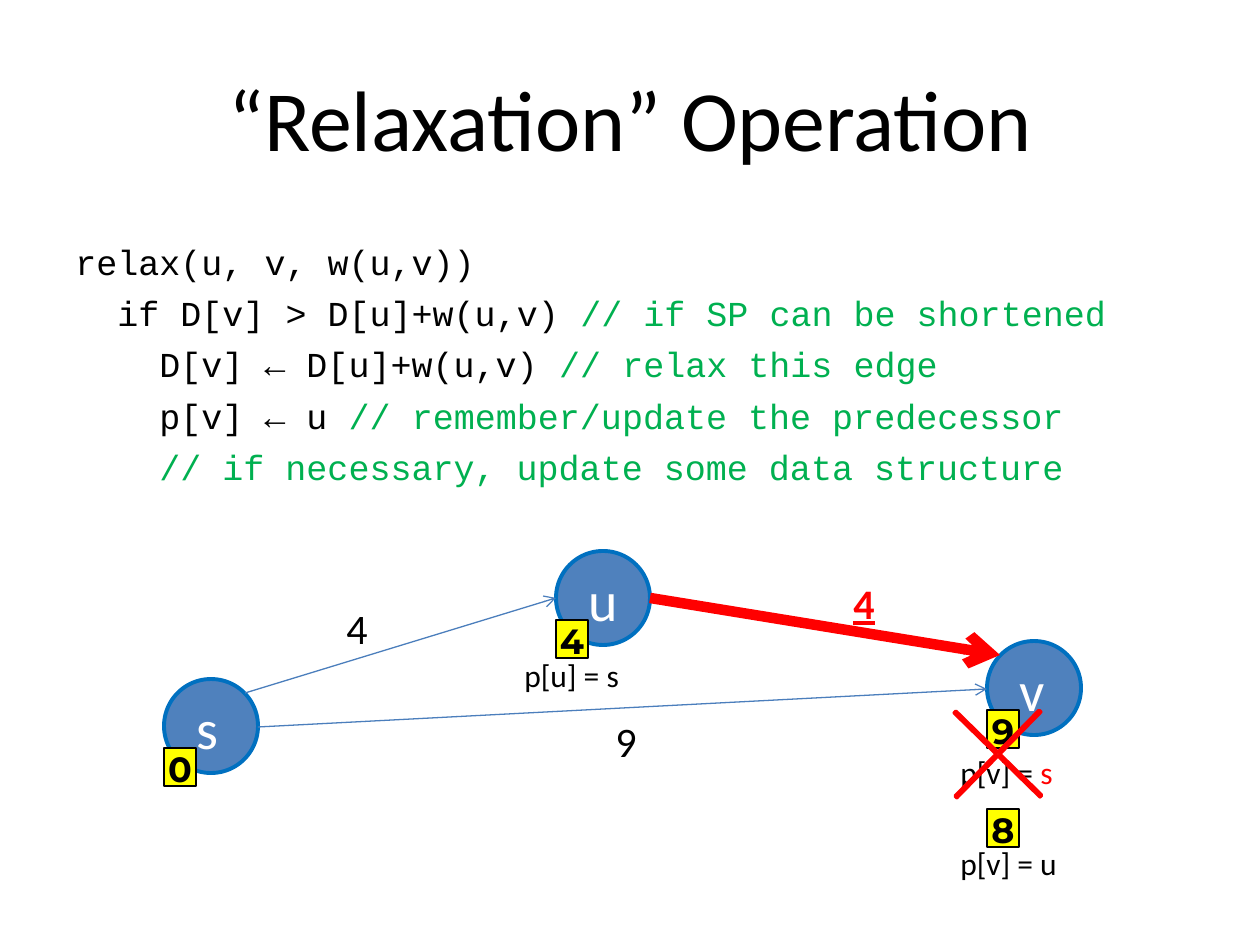
"""Build the slide on the relaxation operation for shortest paths."""
import lxml.etree
import pptx
import pptx.dml.color
import pptx.enum.shapes
import pptx.enum.text
import pptx.oxml.ns
import pptx.util

RGBColor = pptx.dml.color.RGBColor
BLACK = RGBColor(0x00, 0x00, 0x00)
WHITE = RGBColor(0xFF, 0xFF, 0xFF)
RED = RGBColor(0xFF, 0x00, 0x00)
GREEN = RGBColor(0x00, 0xB0, 0x50)
YELLOW = RGBColor(0xFF, 0xFF, 0x00)
NODE_FILL = RGBColor(0x4F, 0x81, 0xBD)
NODE_LINE = RGBColor(0x00, 0x70, 0xC0)
EDGE = RGBColor(0x4B, 0x7E, 0xBC)
CROSS_FILL = RGBColor(0xC0, 0x50, 0x4D)

SHAPES = pptx.enum.shapes.MSO_SHAPE
ALIGN = pptx.enum.text.PP_ALIGN
ANCHOR = pptx.enum.text.MSO_ANCHOR
FIT = pptx.enum.text.MSO_AUTO_SIZE

CODE = [
    (0, "relax(u, v, w(u,v))", ""),
    (1, "if D[v] > D[u]+w(u,v) ", "// if SP can be shortened"),
    (2, "D[v] ← D[u]+w(u,v) ", "// relax this edge"),
    (2, "p[v] ← u ", "// remember/update the predecessor"),
    (2, "", "// if necessary, update some data structure"),
]
NODES = [("s", "0", 164, 679), ("u", "4", 556, 551), ("v", "9", 987, 641)]
WEIGHTS = [
    ("9", 581, 709, {}),
    ("4", 312, 596, {}),
    ("4", 819, 571, {"color": RED, "bold": True, "underline": True}),
]
PREDECESSORS = [
    ("p[v] = ", "s", 948, 747),
    ("p[u] = s", "", 512, 650),
    ("p[v] = u", "", 948, 838),
]
EDGES = [
    ((245, 693), (556, 598), EDGE, 0.75),
    ((650, 598), (1000, 655), RED, 6),
    ((258, 727), (987, 689), EDGE, 0.75),
]


def px(length):
    """Turn pixels into EMU."""
    return pptx.util.Emu(round(length * 914400 / 126))


def add_text(para, text, size=18, color=BLACK, font="Calibri", bold=False, underline=False):
    """Append one formatted span to a paragraph."""
    span = para.add_run()
    span.text = text
    span.font.name = font
    span.font.size = pptx.util.Pt(size)
    span.font.color.rgb = color
    span.font.bold = bold
    span.font.underline = underline


class Diagram:
    """Hold the current page and draw each kind of element on it."""

    def __init__(self, page):
        self.page = page
        self.shapes = page.shapes

    def title(self, text, left, top, width, height):
        """Place and format the title placeholder."""
        box = self.shapes.title
        box.left, box.top, box.width, box.height = map(px, (left, top, width, height))
        frame = box.text_frame
        frame.auto_size = FIT.NONE
        frame.vertical_anchor = ANCHOR.MIDDLE
        frame.paragraphs[0].alignment = ALIGN.CENTER
        add_text(frame.paragraphs[0], text, size=49)

    def text_box(self, left, top, width, height, align=ALIGN.LEFT, fit=FIT.SHAPE_TO_FIT_TEXT):
        """Add an empty wrapping text box and return its frame."""
        frame = self.shapes.add_textbox(*map(px, (left, top, width, height))).text_frame
        frame.word_wrap = True
        frame.auto_size = fit
        frame.paragraphs[0].alignment = align
        return frame

    def code(self, lines, left, top, width, height):
        """Add indented code lines with coloured remarks."""
        frame = self.text_box(left, top, width, height, fit=FIT.NONE)
        for index, (level, statement, remark) in enumerate(lines):
            para = frame.add_paragraph() if index else frame.paragraphs[0]
            para.space_before = pptx.util.Pt(5.3)
            para._p.get_or_add_pPr().set("marL", str(pptx.util.Pt(24 * level)))
            for text, color in ((statement, BLACK), (remark, GREEN)):
                if text:
                    add_text(para, text, size=20, color=color, font="Courier New")

    def shape(self, kind, left, top, width, height, fill, line, weight):
        """Add a filled and outlined preset shape."""
        shape = self.shapes.add_shape(kind, *map(px, (left, top, width, height)))
        shape.shadow.inherit = False
        shape.fill.solid()
        shape.fill.fore_color.rgb = fill
        shape.line.color.rgb = line
        shape.line.width = pptx.util.Pt(weight)
        return shape

    def badge(self, text, left, top):
        """Add a yellow distance badge."""
        frame = self.shape(SHAPES.RECTANGLE, left, top, 32, 38, YELLOW, BLACK, 0.75).text_frame
        frame.margin_left = frame.margin_right = frame.margin_top = frame.margin_bottom = 0
        frame.vertical_anchor = ANCHOR.TOP
        frame.paragraphs[0].alignment = ALIGN.CENTER
        add_text(frame.paragraphs[0], text, size=20, font="Montserrat", bold=True)

    def node(self, name, distance, left, top):
        """Add a graph node with its name and distance."""
        self.shape(SHAPES.OVAL, left, top, 94, 94, NODE_FILL, NODE_LINE, 2.25)
        frame = self.text_box(left + 20, top + 8, 49, 81)
        add_text(frame.paragraphs[0], name, size=32, color=WHITE)
        self.badge(distance, left, top + 69)

    def weight(self, text, left, top, style):
        """Add an edge weight."""
        frame = self.text_box(left, top, 90, 63, align=ALIGN.CENTER)
        add_text(frame.paragraphs[0], text, size=24, **style)

    def predecessor(self, text, outdated, left, top):
        """Add a predecessor label with its outdated part in red."""
        para = self.text_box(left, top, 139, 50).paragraphs[0]
        add_text(para, text)
        if outdated:
            add_text(para, outdated, color=RED)

    def cross(self, left, top, size):
        """Add a thin cross that strikes out old values."""
        cross = self.shape(SHAPES.CROSS, left, top, size, size, CROSS_FILL, RED, 2)
        cross.adjustments[0] = 0.49
        cross.rotation = 314.4

    def edge(self, start, end, color, weight):
        """Add an arrow between two points."""
        edge = self.shapes.add_connector(
            pptx.enum.shapes.MSO_CONNECTOR.STRAIGHT, *map(px, (*start, *end)))
        edge.line.color.rgb = color
        edge.line.width = pptx.util.Pt(weight)
        qn = pptx.oxml.ns.qn
        lxml.etree.SubElement(edge.line._get_or_add_ln(), qn("a:tailEnd"), type="arrow")
        lxml.etree.SubElement(edge._element.spPr, qn("a:effectLst"))


def main():
    """Build and save the deck."""
    deck = pptx.Presentation()
    deck.slide_width, deck.slide_height = px(1260), px(945)
    diagram = Diagram(deck.slides.add_slide(deck.slide_layouts[5]))
    diagram.title("“Relaxation” Operation", 63, 38, 1134, 158)
    diagram.code(CODE, 63, 234, 1134, 610)
    for weight in WEIGHTS:
        diagram.weight(*weight)
    for node in NODES:
        diagram.node(*node)
    for predecessor in PREDECESSORS:
        diagram.predecessor(*predecessor)
    diagram.badge("8", 987, 809)
    diagram.cross(938, 694, 120)
    for edge in EDGES:
        diagram.edge(*edge)
    deck.save("out.pptx")


if __name__ == "__main__":
    main()
